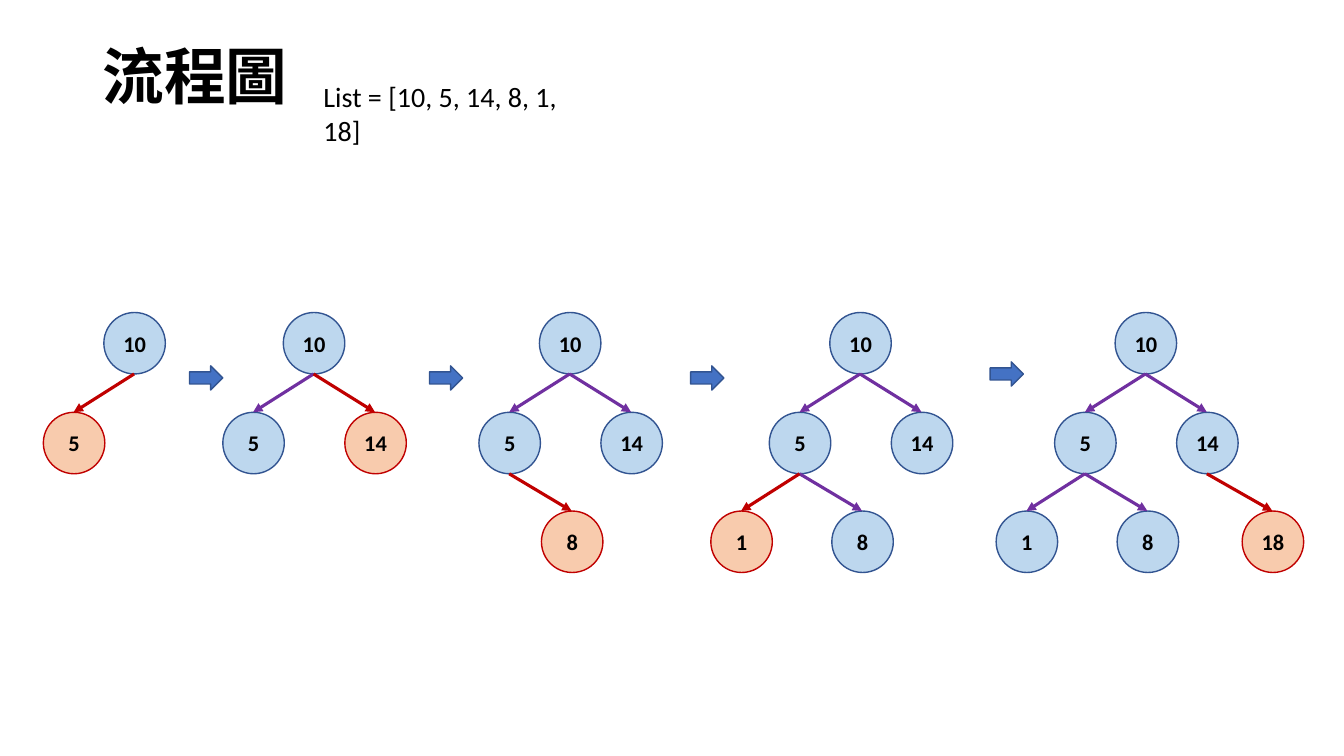
from dataclasses import dataclass

from lxml import etree
from pptx import Presentation
from pptx.dml.color import RGBColor
from pptx.enum.shapes import MSO_CONNECTOR, MSO_SHAPE
from pptx.enum.text import MSO_ANCHOR, PP_ALIGN
from pptx.oxml.ns import qn
from pptx.util import Emu, Pt

OVAL = MSO_SHAPE.OVAL
RIGHT_ARROW = MSO_SHAPE.RIGHT_ARROW
STRAIGHT = MSO_CONNECTOR.STRAIGHT
CENTER = PP_ALIGN.CENTER
LEFT = PP_ALIGN.LEFT
MIDDLE = MSO_ANCHOR.MIDDLE
BOTTOM = MSO_ANCHOR.BOTTOM

EMU_PER_PX = 9144
TITLE_FONT = "Noto Sans CJK SC"
BODY_FONT = "Calibri"
BLACK = "000000"
NODE_FILL = "BDD7EE"
NODE_LINE = "325491"
NEW_FILL = "F8CBAD"
NEW_LINE = "C00000"
EDGE = "7030A0"
STEP_FILL = "4472C4"
DIAMETER = 61
LEVEL_TOPS = (310, 409, 507)


@dataclass(frozen=True)
class Node:
    value: int
    offset: int
    level: int
    parent: int | None = None


@dataclass(frozen=True)
class Tree:
    root_left: int
    values: tuple[int, ...]


@dataclass(frozen=True)
class StepArrow:
    left: int
    top: int


NODES = {
    node.value: node
    for node in (
        Node(10, 0, 0),
        Node(5, -60, 1, 10),
        Node(14, 61, 1, 10),
        Node(8, 2, 2, 5),
        Node(1, -118, 2, 5),
        Node(18, 126, 2, 14),
    )
}
INSERTED = (10, 5, 14, 8, 1, 18)
ROOT_LEFTS = (103, 281, 535, 823, 1106)
TREES = [
    Tree(root_left, INSERTED[:count])
    for count, root_left in enumerate(ROOT_LEFTS, start=2)
]
STEP_ARROWS = (
    StepArrow(188, 363),
    StepArrow(426, 363),
    StepArrow(685, 363),
    StepArrow(982, 359),
)


def px(length: int) -> Emu:
    return Emu(length * EMU_PER_PX)


def color(value: str) -> RGBColor:
    return RGBColor.from_string(value)


def write(frame, text: str, size: int, font: str, bold: bool, alignment) -> None:
    paragraph = frame.paragraphs[0]
    paragraph.alignment = alignment
    run = paragraph.add_run()
    run.text = text
    run.font.size = Pt(size)
    run.font.name = font
    run.font.bold = bold
    run.font.color.rgb = color(BLACK)
    east_asian = etree.SubElement(run.font._element, qn("a:ea"))
    east_asian.set("typeface", font)


def add_title(slide, text: str) -> None:
    title = slide.shapes.title
    title.left, title.top = px(35), px(35)
    title.width, title.height = px(317), px(82)
    frame = title.text_frame
    frame.vertical_anchor = BOTTOM
    write(frame, text, 44, TITLE_FONT, True, CENTER)
    frame.paragraphs[0].line_spacing = 0.9


def add_list(slide, text: str) -> None:
    box = slide.shapes.add_textbox(px(311), px(74), px(290), px(44))
    box.text_frame.word_wrap = True
    write(box.text_frame, text, 20, BODY_FONT, False, LEFT)


def add_filled(slide, kind, left: int, top: int, width: int, height: int,
               fill: str, line: str):
    shape = slide.shapes.add_shape(kind, px(left), px(top), px(width), px(height))
    shape.shadow.inherit = False
    shape.fill.solid()
    shape.fill.fore_color.rgb = color(fill)
    shape.line.color.rgb = color(line)
    shape.line.width = Pt(1)
    return shape


def add_node(slide, node: Node, root_left: int, is_new: bool) -> None:
    fill, line = (NEW_FILL, NEW_LINE) if is_new else (NODE_FILL, NODE_LINE)
    shape = add_filled(slide, OVAL, root_left + node.offset,
                       LEVEL_TOPS[node.level], DIAMETER, DIAMETER, fill, line)
    frame = shape.text_frame
    frame.margin_left = frame.margin_right = 0
    frame.margin_top = frame.margin_bottom = 0
    frame.vertical_anchor = MIDDLE
    write(frame, str(node.value), 16, BODY_FONT, True, CENTER)


def add_edge(slide, parent: Node, child: Node, root_left: int, is_new: bool) -> None:
    center = root_left + DIAMETER // 2
    connector = slide.shapes.add_connector(
        STRAIGHT,
        px(center + parent.offset), px(LEVEL_TOPS[parent.level] + DIAMETER),
        px(center + child.offset), px(LEVEL_TOPS[child.level]),
    )
    connector.line.color.rgb = color(NEW_LINE if is_new else EDGE)
    connector.line.width = Pt(2.25)
    line = connector.line._get_or_add_ln()
    etree.SubElement(line, qn("a:tailEnd")).set("type", "triangle")
    etree.SubElement(connector._element.spPr, qn("a:effectLst"))


def add_tree(slide, tree: Tree) -> None:
    for value in tree.values:
        node = NODES[value]
        is_new = value == tree.values[-1]
        add_node(slide, node, tree.root_left, is_new)
        if node.parent is not None:
            add_edge(slide, NODES[node.parent], node, tree.root_left, is_new)


def main() -> None:
    presentation = Presentation()
    presentation.slide_width = px(1333)
    presentation.slide_height = px(750)
    slide = presentation.slides.add_slide(presentation.slide_layouts[5])
    add_title(slide, "流程圖")
    add_list(slide, f"List = {list(INSERTED)}")
    for tree in TREES:
        add_tree(slide, tree)
    for arrow in STEP_ARROWS:
        add_filled(slide, RIGHT_ARROW, arrow.left, arrow.top, 33, 24,
                   STEP_FILL, NODE_LINE)
    presentation.save("out.pptx")


if __name__ == "__main__":
    main()
